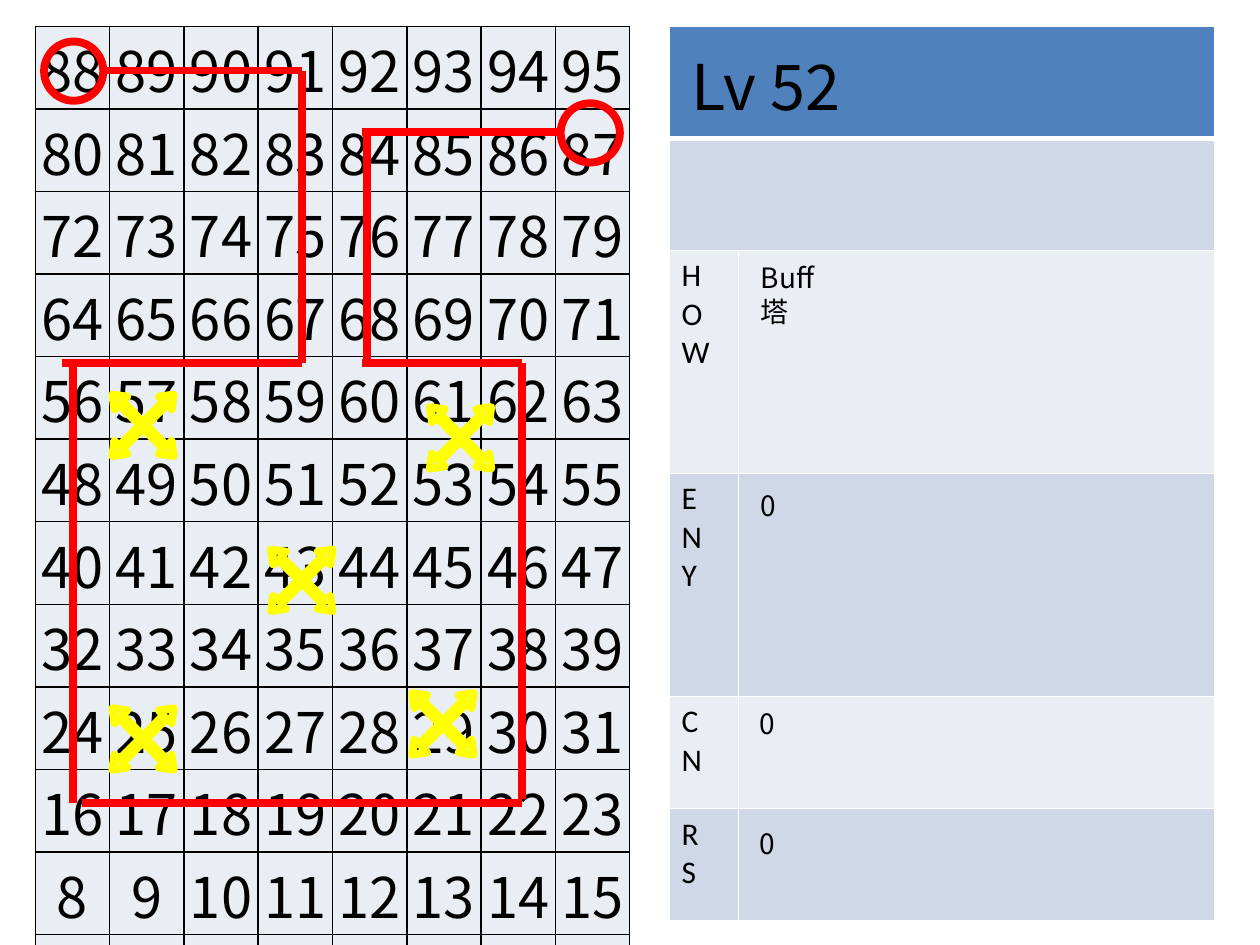
from lxml import etree
from pptx import Presentation
from pptx.dml.color import RGBColor
from pptx.enum import shapes, text
from pptx.oxml import ns
from pptx.util import Inches, Pt

BLACK = RGBColor(0x00, 0x00, 0x00)
WHITE = RGBColor(0xFF, 0xFF, 0xFF)
RED = RGBColor(0xFF, 0x00, 0x00)
YELLOW = RGBColor(0xFF, 0xFF, 0x00)
BLUE = RGBColor(0x4F, 0x81, 0xBD)
PALE = RGBColor(0xE9, 0xED, 0xF4)
LIGHT = RGBColor(0xD0, 0xD8, 0xE8)
SANS = "Noto Sans CJK SC"
BODY = "Calibri"

GRID_ROWS, GRID_COLS, CELL = 12, 8, 0.59
INFO_COLS = [0.55, 3.78]
INFO_ROWS = [
    (0.89, "", BLUE),
    (0.89, "", LIGHT),
    (1.77, "HOW", PALE),
    (1.77, "ENY", LIGHT),
    (0.89, "CN", PALE),
    (0.89, "RS", LIGHT),
]
NOTES = [
    (5.39, 0.33, 1.44, 0.71, ["Lv 52"], 36),
    (5.94, 2.02, 0.86, 0.37, ["Buff", "塔"], 16),
    (5.94, 3.83, 0.33, 0.37, ["0"], 16),
    (5.93, 5.56, 0.33, 0.37, ["0"], 16),
    (5.93, 6.51, 0.33, 0.37, ["0"], 16),
]
ENDPOINTS = [(0.35, 0.33), (4.45, 0.82)]
WALLS = [
    (2.4, 0.56, 2.4, 2.88),
    (0.83, 0.56, 2.4, 0.56),
    (2.87, 1.05, 4.45, 1.05),
    (2.91, 1.05, 2.91, 2.88),
    (0.49, 2.88, 2.4, 2.88),
    (2.87, 2.88, 4.14, 2.88),
    (0.58, 2.85, 0.58, 6.37),
    (4.14, 2.88, 4.14, 6.34),
    (0.65, 6.37, 4.14, 6.37),
]
TOWERS = [(2.05, 4.26), (0.79, 3.03), (3.31, 3.13), (3.17, 5.4), (0.79, 5.52)]


def add_lines(p, lines, size, font):
    for i, line in enumerate(lines):
        if i:
            p.add_line_break()
        r = p.add_run()
        r.text = line
        r.font.size = Pt(size)
        r.font.name = font
        r.font.color.rgb = BLACK
        ea = etree.SubElement(r.font._element, ns.qn("a:ea"))
        ea.set("typeface", SANS)


def style_cell(cell, fill, border, bottom=1):
    tcPr = cell._tc.get_or_add_tcPr()
    for side, width in (("L", 1), ("R", 1), ("T", 1), ("B", bottom)):
        ln = etree.SubElement(tcPr, ns.qn(f"a:ln{side}"), w=str(Pt(width)))
        solid = etree.SubElement(ln, ns.qn("a:solidFill"))
        etree.SubElement(solid, ns.qn("a:srgbClr"), val=str(border))
    cell.fill.solid()
    cell.fill.fore_color.rgb = fill


def add_table(s, left, top, widths, heights):
    frame = s.shapes.add_table(len(heights), len(widths), Inches(left), Inches(top),
                               Inches(sum(widths)), Inches(sum(heights)))
    table = frame.table
    table.first_row = table.horz_banding = False
    for col, width in zip(table.columns, widths):
        col.width = Inches(width)
    for row, height in zip(table.rows, heights):
        row.height = Inches(height)
    return table


def add_number_grid(s):
    table = add_table(s, 0.28, 0.21, [CELL] * GRID_COLS, [CELL] * GRID_ROWS)
    for row in range(GRID_ROWS):
        for col in range(GRID_COLS):
            cell = table.cell(row, col)
            cell.margin_left = cell.margin_right = cell.margin_top = Inches(0.01)
            cell.margin_bottom = 0
            cell.vertical_anchor = text.MSO_ANCHOR.MIDDLE
            style_cell(cell, PALE, BLACK)
            p = cell.text_frame.paragraphs[0]
            p.alignment = text.PP_ALIGN.CENTER
            number = (GRID_ROWS - 1 - row) * GRID_COLS + col
            add_lines(p, [str(number)], 32, SANS)


def add_info_table(s):
    table = add_table(s, 5.31, 0.21, INFO_COLS, [row[0] for row in INFO_ROWS])
    for i, (_, label, fill) in enumerate(INFO_ROWS):
        for col in range(len(INFO_COLS)):
            style_cell(table.cell(i, col), fill, WHITE, 1 if i else 3)
        if label:
            add_lines(table.cell(i, 0).text_frame.paragraphs[0], label, 18, BODY)
        else:
            table.cell(i, 0).merge(table.cell(i, 1))


def add_note(s, left, top, width, height, lines, size):
    sp = s.shapes.add_textbox(Inches(left), Inches(top), Inches(width), Inches(height))
    tf = sp.text_frame
    tf.word_wrap = False
    tf.auto_size = text.MSO_AUTO_SIZE.SHAPE_TO_FIT_TEXT
    add_lines(tf.paragraphs[0], lines, size, SANS)


def add_outline(s, kind, left, top, size, color):
    sp = s.shapes.add_shape(kind, Inches(left), Inches(top), Inches(size), Inches(size))
    sp.shadow.inherit = False
    sp.fill.background()
    sp.line.color.rgb = color
    sp.line.width = Pt(4.5)
    return sp


def add_wall(s, x1, y1, x2, y2):
    line = s.shapes.add_connector(shapes.MSO_CONNECTOR.STRAIGHT,
                                  Inches(x1), Inches(y1), Inches(x2), Inches(y2))
    line.line.color.rgb = RED
    line.line.width = Pt(4.5)
    etree.SubElement(line._element.spPr, ns.qn("a:effectLst"))


def add_tower(s, left, top):
    sp = add_outline(s, shapes.MSO_SHAPE.QUAD_ARROW, left, top, 0.69, YELLOW)
    sp.rotation = 45
    for i, value in enumerate((0.053, 0.103, 0.139)):
        sp.adjustments[i] = value


def main():
    prs = Presentation()
    prs.slide_width, prs.slide_height = Inches(10), Inches(7.5)
    s = prs.slides.add_slide(prs.slide_layouts[6])
    add_number_grid(s)
    add_info_table(s)
    for note in NOTES:
        add_note(s, *note)
    for left, top in ENDPOINTS:
        add_outline(s, shapes.MSO_SHAPE.OVAL, left, top, 0.47, RED)
    for wall in WALLS:
        add_wall(s, *wall)
    for tower in TOWERS:
        add_tower(s, *tower)
    prs.save("out.pptx")


if __name__ == "__main__":
    main()
